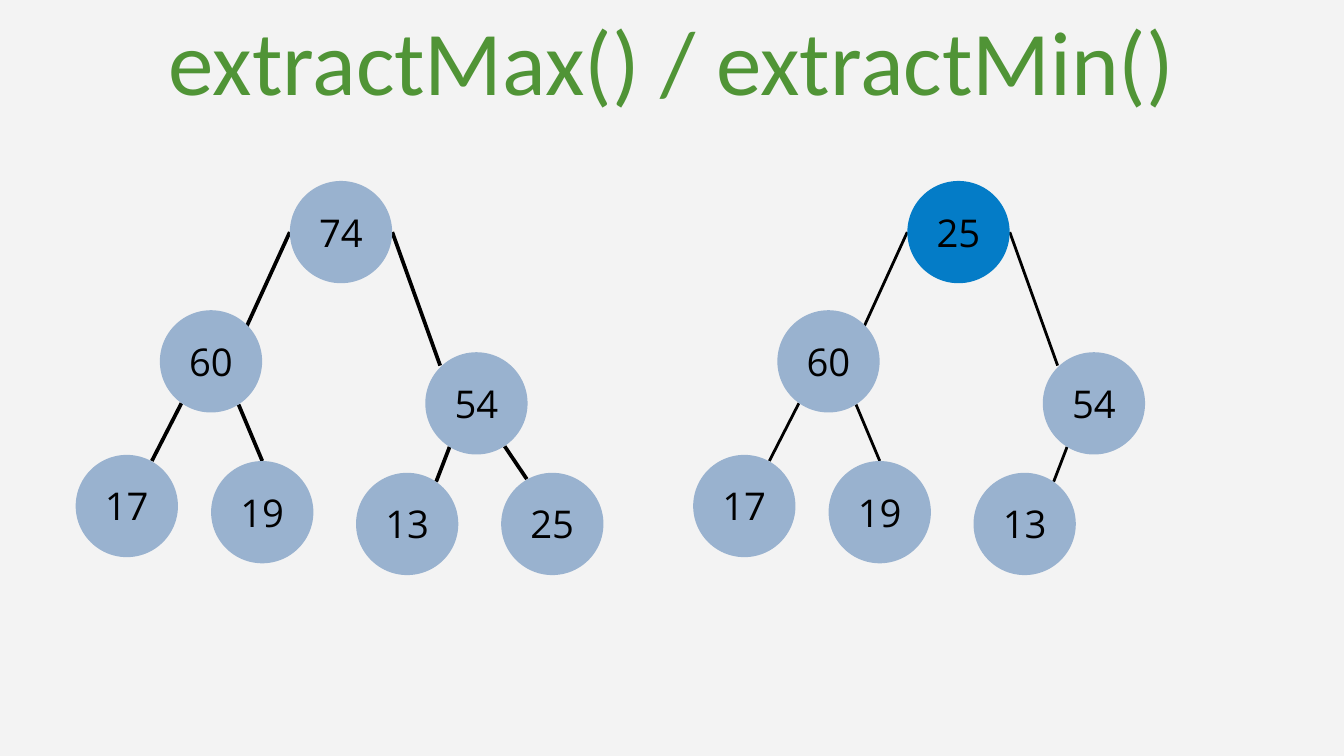
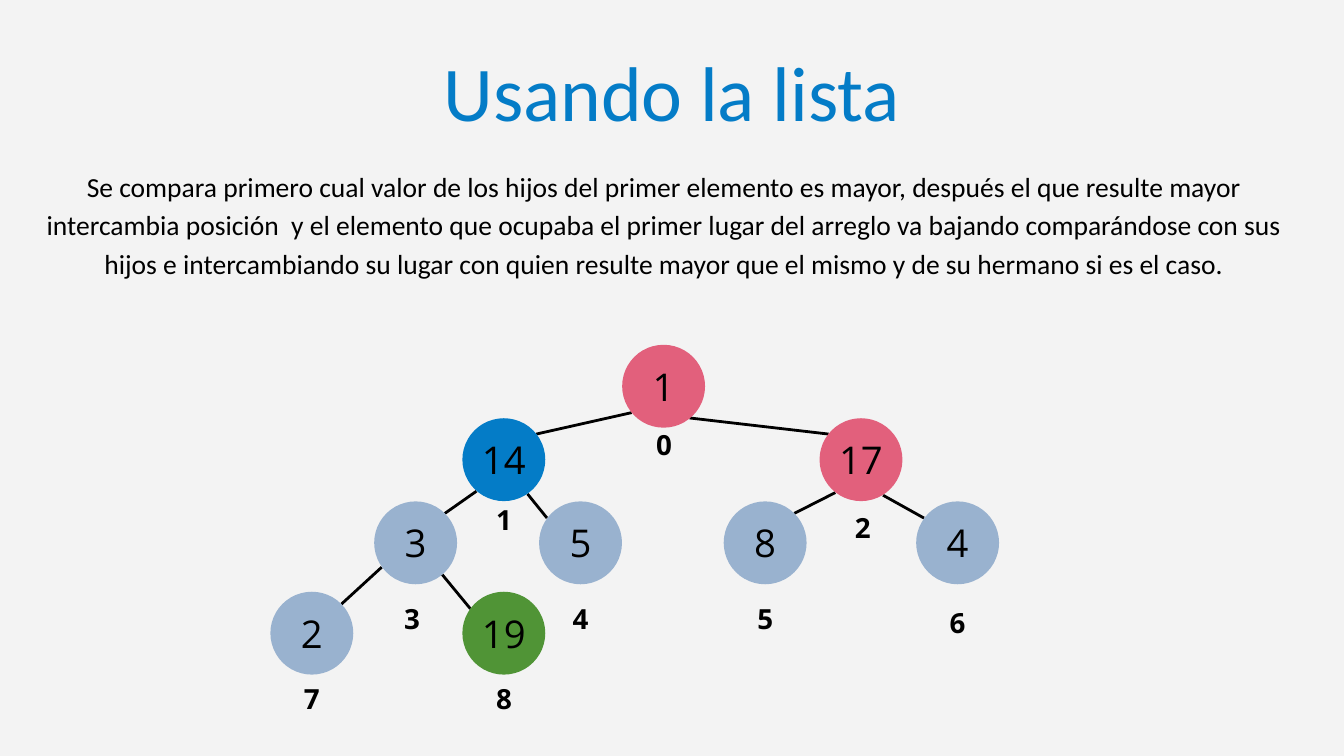
from dataclasses import dataclass, replace

import lxml.etree
import pptx
import pptx.dml.color
import pptx.enum.shapes
import pptx.enum.text
import pptx.oxml.ns
import pptx.shapes.base
import pptx.slide
import pptx.text.text
import pptx.util

Pt = pptx.util.Pt
CENTER = pptx.enum.text.PP_ALIGN.CENTER
TITLE_ONLY = 5


@dataclass(frozen=True)
class TextStyle:
    font: str
    size: float
    line_spacing: float
    color: str
    bold: bool = False


@dataclass(frozen=True)
class Theme:
    background: str = "F3F3F3"
    black: str = "000000"
    pale_blue: str = "99B2CF"
    blue: str = "047CC7"
    green: str = "509436"
    pink: str = "E2607C"
    large_title: TextStyle = TextStyle("Calibri", 97.5, 136.4, green)
    title: TextStyle = TextStyle("Calibri", 83, 116.2, blue)
    body: TextStyle = TextStyle("Calibri", 29.5, 41.4, black)
    node: TextStyle = TextStyle("Open Sans", 41, 57.4, black)
    index: TextStyle = TextStyle("Open Sans", 29.7, 41.6, black, True)


THEME = Theme()


@dataclass(frozen=True)
class Box:
    left: float
    top: float
    width: float
    height: float

    def lengths(self) -> tuple[pptx.util.Length, ...]:
        return Pt(self.left), Pt(self.top), Pt(self.width), Pt(self.height)


@dataclass(frozen=True)
class Node:
    """A value centred at x, y; index_x and index_top place its list index."""
    value: str
    x: float
    y: float
    color: str = THEME.pale_blue
    index_x: float = 0
    index_top: float = 0


@dataclass(frozen=True)
class Edge:
    begin_x: float
    begin_y: float
    end_x: float
    end_y: float


@dataclass(frozen=True)
class Tree:
    nodes: list[Node]
    edges: list[Edge]
    diameter: float
    line_width: float
    offset_x: float = 0


FULL_HEAP = Tree(
    nodes=[
        Node("74", 365.4, 248.7),
        Node("60", 226.1, 387.2),
        Node("54", 510.5, 432.2),
        Node("17", 135.9, 542.2),
        Node("19", 281, 548.8),
        Node("13", 436.3, 561.4),
        Node("25", 591.8, 561.4),
    ],
    edges=[
        Edge(310.5, 248.7, 260.6, 357.8),
        Edge(420.3, 248.7, 471.6, 391.7),
        Edge(194.4, 432, 162.7, 493.9),
        Edge(255.6, 433.4, 281, 493.9),
        Edge(481.7, 478.8, 467.3, 516.2),
        Edge(540.7, 478.1, 564.5, 513.4),
    ],
    diameter=109.6,
    line_width=4,
)

# The last leaf has moved to the root.
EXTRACTED_HEAP = replace(
    FULL_HEAP,
    nodes=[replace(FULL_HEAP.nodes[0], value="25", color=THEME.blue), *FULL_HEAP.nodes[1:-1]],
    edges=FULL_HEAP.edges[:-1],
    line_width=3,
    offset_x=661.6,
)

# Nodes stand in list order, so their position is their index.
LIST_HEAP = Tree(
    nodes=[
        Node("1", 711, 413.8, THEME.pink, 711.4, 452.2),
        Node("14", 539.8, 492.5, THEME.blue, 540, 532.8),
        Node("17", 922.5, 492.5, THEME.pink, 924.5, 541.4),
        Node("3", 445.3, 581.6, index_x=441.4, index_top=638.6),
        Node("5", 622, 581.6, index_x=622, index_top=638.6),
        Node("8", 819.8, 581.6, index_x=820, index_top=638.6),
        Node("4", 1026, 581.6, index_x=1026, index_top=643),
        Node("2", 334.1, 678.4, index_x=334, index_top=724.3),
        Node("19", 539.8, 678.4, THEME.green, 540, 724.3),
    ],
    edges=[
        Edge(676.8, 442.1, 574.6, 465.1),
        Edge(738.7, 447.8, 887.8, 465.1),
        Edge(510.5, 526.3, 476.6, 550.1),
        Edge(565.2, 529.2, 586.1, 555.1),
        Edge(895, 527.8, 851, 550.1),
        Edge(946.1, 530.6, 990, 555.1),
        Edge(409, 607.7, 365.8, 647.3),
        Edge(473.8, 615.6, 504, 652.3),
    ],
    diameter=88.8,
    line_width=3,
)

EXPLANATION = (
    "Se compara primero cual valor de los hijos del primer elemento es mayor, "
    "después el que resulte mayor intercambia posición  y el elemento que ocupaba "
    "el primer lugar del arreglo va bajando comparándose con sus hijos e "
    "intercambiando su lugar con quien resulte mayor que el mismo y de su hermano "
    "si es el caso."
)


def rgb(color: str) -> pptx.dml.color.RGBColor:
    return pptx.dml.color.RGBColor.from_string(color)


def write_text(frame: pptx.text.text.TextFrame, text: str, style: TextStyle,
               wrap: bool = True, bottom_margin: float = 0) -> None:
    frame.auto_size = pptx.enum.text.MSO_AUTO_SIZE.NONE
    frame.word_wrap = wrap
    frame.margin_left = frame.margin_right = frame.margin_top = 0
    frame.margin_bottom = Pt(bottom_margin)
    paragraph = frame.paragraphs[0]
    paragraph.alignment = CENTER
    paragraph.line_spacing = Pt(style.line_spacing)
    run = paragraph.add_run()
    run.text = text
    run.font.name = style.font
    run.font.size = Pt(style.size)
    run.font.bold = style.bold
    run.font.color.rgb = rgb(style.color)


def add_titled_slide(presentation: pptx.presentation.Presentation, text: str,
                     box: Box, style: TextStyle) -> pptx.slide.Slide:
    slide = presentation.slides.add_slide(presentation.slide_layouts[TITLE_ONLY])
    title = slide.shapes.title
    title.left, title.top, title.width, title.height = box.lengths()
    title.text_frame.vertical_anchor = pptx.enum.text.MSO_ANCHOR.TOP
    write_text(title.text_frame, text, style)
    return slide


def add_text(slide: pptx.slide.Slide, text: str, box: Box, style: TextStyle) -> None:
    write_text(slide.shapes.add_textbox(*box.lengths()).text_frame, text, style)


def add_edge(slide: pptx.slide.Slide, edge: Edge, tree: Tree) -> None:
    connector = slide.shapes.add_connector(
        pptx.enum.shapes.MSO_CONNECTOR.STRAIGHT,
        Pt(edge.begin_x + tree.offset_x), Pt(edge.begin_y),
        Pt(edge.end_x + tree.offset_x), Pt(edge.end_y),
    )
    connector.line.color.rgb = rgb(THEME.black)
    connector.line.width = Pt(tree.line_width)
    lxml.etree.SubElement(connector._element.spPr, pptx.oxml.ns.qn("a:effectLst"))


def add_node(slide: pptx.slide.Slide, node: Node, tree: Tree) -> None:
    radius = tree.diameter / 2
    box = Box(node.x + tree.offset_x - radius, node.y - radius, tree.diameter, tree.diameter)
    circle = slide.shapes.add_shape(pptx.enum.shapes.MSO_SHAPE.OVAL, *box.lengths())
    circle.shadow.inherit = False
    circle.fill.solid()
    circle.fill.fore_color.rgb = rgb(node.color)
    circle.line.fill.background()
    circle.text_frame.vertical_anchor = pptx.enum.text.MSO_ANCHOR.MIDDLE
    write_text(circle.text_frame, node.value, THEME.node, wrap=False, bottom_margin=9)


def add_tree(slide: pptx.slide.Slide, tree: Tree) -> None:
    """Draw the edges first, so that the circles cover their ends."""
    for edge in tree.edges:
        add_edge(slide, edge, tree)
    for node in tree.nodes:
        add_node(slide, node, tree)


def add_indexes(slide: pptx.slide.Slide, tree: Tree) -> None:
    width, height = 30, 40.3
    for index, node in enumerate(tree.nodes):
        box = Box(node.index_x - width / 2, node.index_top, width, height)
        add_text(slide, str(index), box, THEME.index)


def build_extract_slide(presentation: pptx.presentation.Presentation) -> None:
    slide = add_titled_slide(presentation, "extractMax() / extractMin()",
                             Box(31, -15, 1378, 131), THEME.large_title)
    for tree in (FULL_HEAP, EXTRACTED_HEAP):
        add_tree(slide, tree)


def build_list_slide(presentation: pptx.presentation.Presentation) -> None:
    slide = add_titled_slide(presentation, "Usando la lista",
                             Box(458, 31, 523.5, 112.3), THEME.title)
    add_tree(slide, LIST_HEAP)
    add_indexes(slide, LIST_HEAP)
    add_text(slide, EXPLANATION, Box(49.7, 175.7, 1323.4, 163.4), THEME.body)


def main() -> None:
    presentation = pptx.Presentation()
    presentation.slide_width = Pt(1440)
    presentation.slide_height = Pt(810)
    background = presentation.slide_master.background.fill
    background.solid()
    background.fore_color.rgb = rgb(THEME.background)
    build_extract_slide(presentation)
    build_list_slide(presentation)
    presentation.save("out.pptx")


if __name__ == "__main__":
    main()
